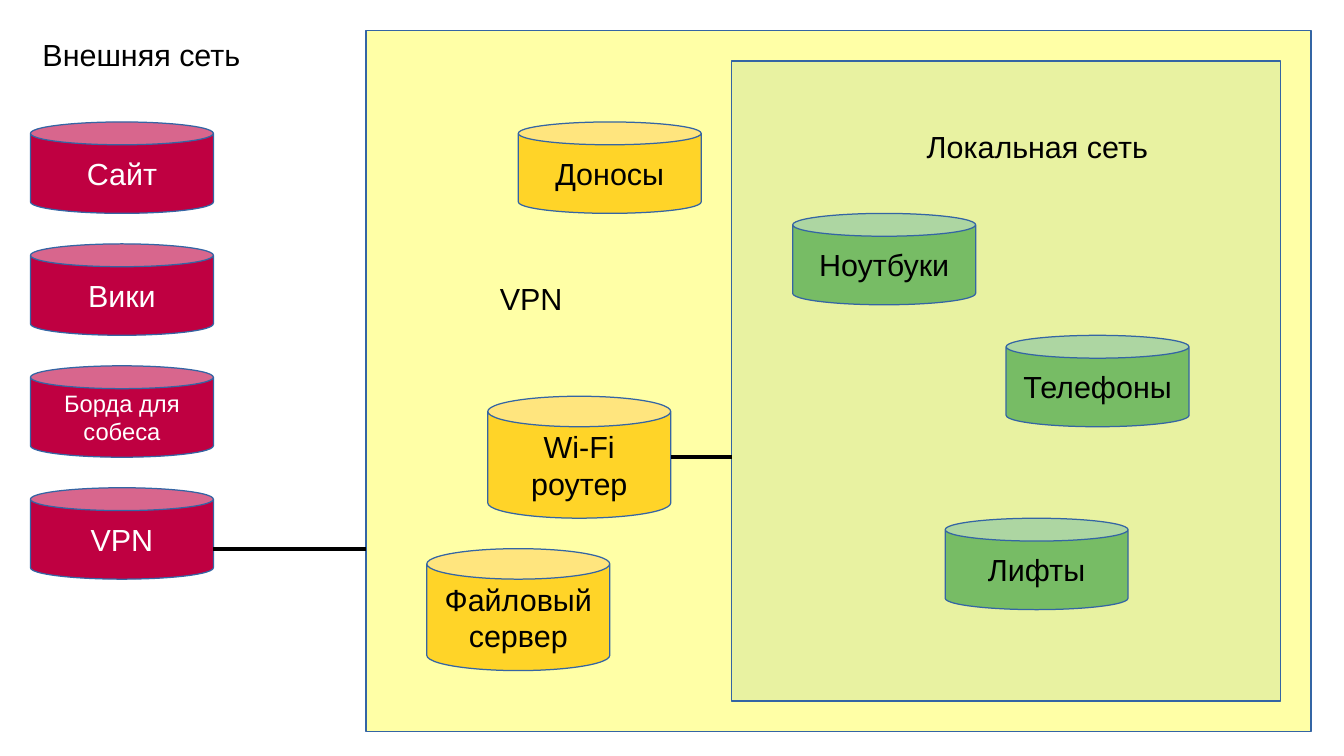
from lxml import etree
from pptx import Presentation
from pptx.dml.color import RGBColor
from pptx.enum.shapes import MSO_CONNECTOR, MSO_SHAPE
from pptx.enum.text import MSO_ANCHOR, PP_ALIGN
from pptx.oxml.ns import qn
from pptx.util import Inches, Pt

CAN = MSO_SHAPE.CAN
RECTANGLE = MSO_SHAPE.RECTANGLE
STRAIGHT = MSO_CONNECTOR.STRAIGHT
MIDDLE = MSO_ANCHOR.MIDDLE
TOP = MSO_ANCHOR.TOP
CENTER = PP_ALIGN.CENTER
LEFT = PP_ALIGN.LEFT

BLACK = RGBColor(0x00, 0x00, 0x00)
WHITE = RGBColor(0xFF, 0xFF, 0xFF)
BLUE = RGBColor(0x34, 0x65, 0xA4)
CRIMSON = RGBColor(0xBF, 0x00, 0x41)
AMBER = RGBColor(0xFF, 0xD4, 0x28)
GREEN = RGBColor(0x77, 0xBC, 0x65)
PALE_YELLOW = RGBColor(0xFF, 0xFF, 0xA6)
PALE_GREEN = RGBColor(0xE8, 0xF2, 0xA1)


class NetworkMap:
    """Draws network zones, nodes, labels and links on one slide."""

    font_name = "Arial"
    frame_format = {
        "word_wrap": True,
        "margin_left": Inches(0.1),
        "margin_right": Inches(0.1),
        "margin_top": Inches(0.05),
        "margin_bottom": Inches(0.05),
    }

    def __init__(self, slide):
        self.shapes = slide.shapes

    def set_text(self, frame, text, size, color, align, anchor):
        frame.text = text
        for name, value in {**self.frame_format, "vertical_anchor": anchor}.items():
            setattr(frame, name, value)
        font_format = {"name": self.font_name, "size": Pt(size)}
        for paragraph in frame.paragraphs:
            paragraph.alignment = align
            for run in paragraph.runs:
                for name, value in font_format.items():
                    setattr(run.font, name, value)
                run.font.color.rgb = color

    def outline(self, kind, box, fill):
        shape = self.shapes.add_shape(kind, *map(Inches, box))
        shape.shadow.inherit = False
        shape.fill.solid()
        shape.fill.fore_color.rgb = fill
        shape.line.color.rgb = BLUE
        shape.line.width = Pt(0)
        return shape

    def zone(self, box, fill):
        self.outline(RECTANGLE, box, fill)

    def node(self, text, left, top, fill, color=BLACK, height=0.75, size=18):
        can = self.outline(CAN, (left, top, 1.5, height), fill)
        can.adjustments[0] = 0.25
        self.set_text(can.text_frame, text, size, color, CENTER, MIDDLE)

    def label(self, text, left, top, width):
        box = self.shapes.add_textbox(*map(Inches, (left, top, width, 0.38)))
        self.set_text(box.text_frame, text, 18, BLACK, LEFT, TOP)

    def link(self, start, end, y):
        line = self.shapes.add_connector(STRAIGHT, *map(Inches, (start, y, end, y)))
        line.line.color.rgb = BLACK
        line.line.width = Pt(2.3)
        etree.SubElement(line._element.spPr, qn("a:effectLst"))


def main():
    deck = Presentation()
    deck.slide_width = Inches(11.02)
    deck.slide_height = Inches(6.2)
    network = NetworkMap(deck.slides.add_slide(deck.slide_layouts[6]))

    network.zone((3, 0.25, 7.75, 5.75), PALE_YELLOW)
    network.zone((6, 0.5, 4.5, 5.25), PALE_GREEN)

    external = [("Сайт", 18), ("Вики", 18), ("Борда для\nсобеса", 14), ("VPN", 18)]
    for top, (service, size) in enumerate(external, start=1):
        network.node(service, 0.25, top, CRIMSON, WHITE, size=size)

    for service, left, top, height in [
        ("Доносы", 4.25, 1, 0.75),
        ("Wi-Fi роутер", 4, 3.25, 1),
        ("Файловый сервер", 3.5, 4.5, 1),
    ]:
        network.node(service, left, top, AMBER, height=height)

    for device, left, top in [
        ("Ноутбуки", 6.5, 1.75),
        ("Телефоны", 8.25, 2.75),
        ("Лифты", 7.75, 4.25),
    ]:
        network.node(device, left, top, GREEN)

    network.label("Внешняя сеть", 0.25, 0.25, 2)
    network.label("VPN", 4, 2.25, 0.75)
    network.label("Локальная сеть", 7.5, 1, 2.25)

    network.link(1.75, 3, 4.5)
    network.link(5.5, 6, 3.75)

    deck.save("out.pptx")


if __name__ == "__main__":
    main()
